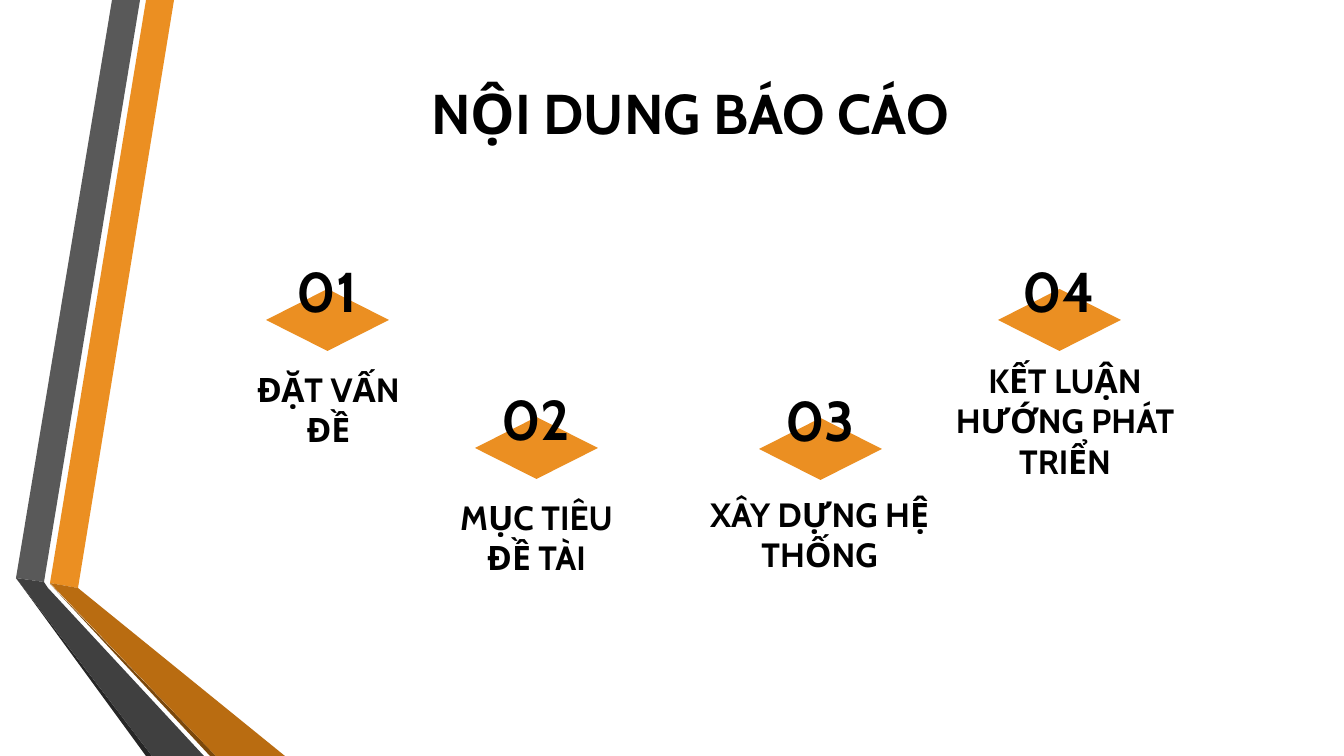
from pptx import Presentation
from pptx.dml.color import RGBColor
from pptx.enum.shapes import MSO_SHAPE
from pptx.enum.text import MSO_ANCHOR, PP_ALIGN
from pptx.util import Emu, Pt

SCALE = 914400 / 100.8
FONT = "Cabin"
COLORS = {
    "text": "000000",
    "orange": "EB8F22",
    "amber": "B96C11",
    "brown": "7B480B",
    "gray": "595959",
    "dark": "404040",
    "black": "262626",
}

# Folded ribbon: color and corner points, back to front
BANDS = [
    ("orange", [(50, 583), (78, 588), (174, 0), (146, 0)]),
    ("gray", [(140, 0), (112, 0), (16, 578), (44, 582)]),
    ("black", [(16, 578), (146, 756), (152, 756)]),
    ("brown", [(50, 584), (210, 756), (216, 756)]),
    ("amber", [(50, 583), (216, 756), (285, 756), (78, 588)]),
    ("dark", [(204, 756), (48, 588), (44, 582), (16, 578), (152, 756)]),
]

# Topics: diamond left and top, label text, label left, top and width
TOPICS = [
    (266, 289, "ĐẶT VẤN ĐỀ", 224, 359, 209),
    (475, 417, "MỤC TIÊU ĐỀ TÀI", 433, 487, 207),
    (759, 418, "XÂY DỰNG HỆ THỐNG", 689, 484, 261),
    (998, 289, "KẾT LUẬN HƯỚNG PHÁT TRIỂN", 927, 350, 276),
]


def px(*values):
    return [Emu(round(value * SCALE)) for value in values]


def paint(shape, color):
    shape.shadow.inherit = False
    shape.fill.solid()
    shape.fill.fore_color.rgb = RGBColor.from_string(COLORS[color])
    shape.line.fill.background()


def add_band(slide, color, points):
    pen = slide.shapes.build_freeform(*points[0], scale=SCALE)
    pen.add_line_segments(points[1:], close=True)
    paint(pen.convert_to_shape(), color)


def add_text(slide, text, box, size, anchor):
    frame = slide.shapes.add_textbox(*px(*box)).text_frame
    frame.word_wrap = True
    frame.vertical_anchor = anchor
    inset, = px(10)
    frame.margin_left = frame.margin_right = inset
    frame.margin_top = frame.margin_bottom = inset
    frame.text = text
    line = frame.paragraphs[0]
    line.alignment = PP_ALIGN.CENTER
    font = line.runs[0].font
    font.name, font.size, font.bold = FONT, Pt(size), True
    font.color.rgb = RGBColor.from_string(COLORS["text"])


def add_topic(slide, number, left, top, label, x, y, width):
    diamond = slide.shapes.add_shape(
        MSO_SHAPE.DIAMOND, *px(left, top, 123, 62))
    paint(diamond, "orange")
    add_text(slide, f"{number:02}", (left - 24, top - 40, 170, 82),
             40, MSO_ANCHOR.MIDDLE)
    add_text(slide, label, (x, y, width, 39), 24, MSO_ANCHOR.TOP)


def main():
    deck = Presentation()
    deck.slide_width, deck.slide_height = px(1344, 756)
    slide = deck.slides.add_slide(deck.slide_layouts[6])

    # Ribbon at the left edge
    for color, points in BANDS:
        add_band(slide, color, points)

    # Heading and numbered topics
    add_text(slide, "NỘI DUNG BÁO CÁO", (254, 64, 872, 92),
             40, MSO_ANCHOR.BOTTOM)
    for number, topic in enumerate(TOPICS, 1):
        add_topic(slide, number, *topic)

    deck.save("out.pptx")


main()
